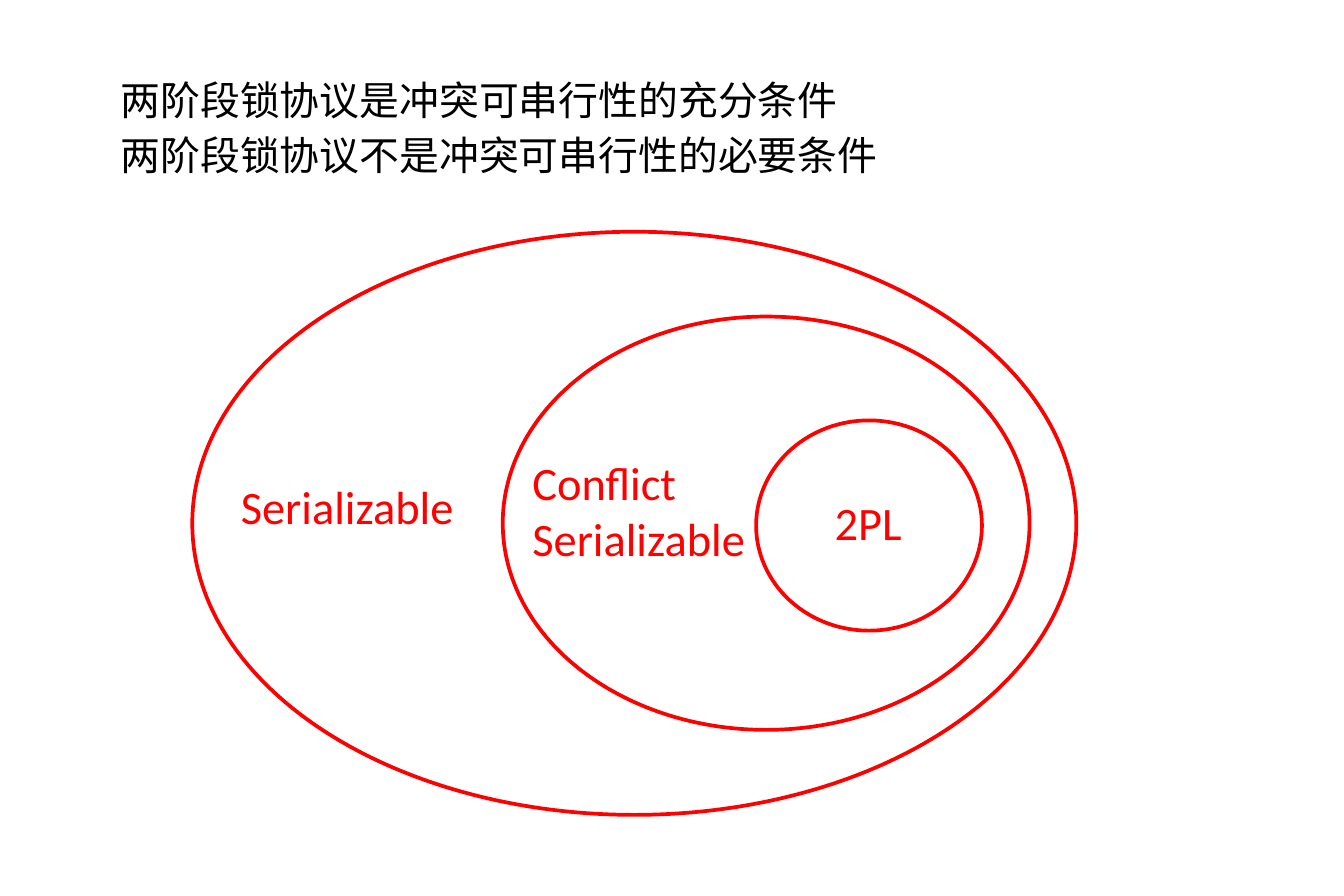
from pptx import Presentation
from pptx.dml.color import RGBColor
from pptx.enum.shapes import MSO_SHAPE
from pptx.enum.text import MSO_ANCHOR, MSO_AUTO_SIZE, PP_ALIGN
from pptx.oxml.ns import qn
from pptx.util import Pt
from lxml import etree

OVAL = MSO_SHAPE.OVAL
LEFT, TOP = PP_ALIGN.LEFT, MSO_ANCHOR.TOP
NO_FIT, GROW = MSO_AUTO_SIZE.NONE, MSO_AUTO_SIZE.SHAPE_TO_FIT_TEXT
BLACK = RGBColor(0, 0, 0)
RED = RGBColor(255, 0, 0)
CJK, LATIN = "Noto Sans CJK SC", "Calibri"

STATEMENTS = ["两阶段锁协议是冲突可串行性的充分条件",
              "两阶段锁协议不是冲突可串行性的必要条件"]

# Nested sets: ellipse box, label, label box, all relative to the diagram
SETS = [
    ((0, 0, 532.8, 351.4), "Serializable", (22.2, 144.7, 144, 41)),
    ((187.1, 51.1, 317.5, 249.1), "Conflict\vSerializable",
     (197.9, 130.3, 144, 75)),
    ((339.8, 113.7, 136.1, 126.7), "2PL", (380.1, 154.8, 55.4, 41)),
]


def write(p, text, font, size, color):
    """Fill a paragraph with text in one format."""
    p.text = text
    p.alignment = LEFT
    for r in p.runs:
        r.font.name, r.font.size, r.font.color.rgb = font, Pt(size), color
        ea = etree.SubElement(r.font._element, qn("a:ea"))
        ea.set("typeface", font)


def add_statements(slide, x, y, w, h):
    """Place the statements in the body placeholder."""
    sp = slide.placeholders[1]
    sp.left, sp.top, sp.width, sp.height = Pt(x), Pt(y), Pt(w), Pt(h)
    tf = sp.text_frame
    tf.auto_size, tf.vertical_anchor = NO_FIT, TOP
    tf.margin_left = tf.margin_right = Pt(8.64)
    tf.margin_top = tf.margin_bottom = Pt(4.32)
    for i, text in enumerate(STATEMENTS):
        p = tf.add_paragraph() if i else tf.paragraphs[0]
        write(p, text, CJK, 24, BLACK)
        p.space_before, p.line_spacing = Pt(4.8), Pt(28.3)
        pPr = p._p.get_or_add_pPr()
        pPr.set("marL", str(Pt(27)))
        pPr.set("indent", str(Pt(-27)))
        etree.SubElement(pPr, qn("a:buNone"))


def add_set(slide, x, y, oval, label, label_box):
    """Draw one outlined set and its label, offset by x and y."""
    def place(box):
        left, top, w, h = box
        return Pt(x + left), Pt(y + top), Pt(w), Pt(h)

    sp = slide.shapes.add_shape(OVAL, *place(oval))
    sp.shadow.inherit = False
    sp.fill.background()
    sp.line.color.rgb, sp.line.width = RED, Pt(2.25)

    tf = slide.shapes.add_textbox(*place(label_box)).text_frame
    tf.word_wrap, tf.auto_size = False, GROW
    write(tf.paragraphs[0], label, LATIN, 28, RED)


def add_diagram(slide, x, y):
    """Draw the nested sets from the outside in."""
    for oval, label, label_box in SETS:
        add_set(slide, x, y, oval, label, label_box)


prs = Presentation()
prs.slide_width, prs.slide_height = Pt(810), Pt(540)
slide = prs.slides.add_slide(prs.slide_layouts[1])

# The slide has no title
title = slide.shapes.title._element
title.getparent().remove(title)

add_statements(slide, 64.1, 41.8, 719.3, 90)
add_diagram(slide, 115.9, 139.7)

prs.save("out.pptx")
